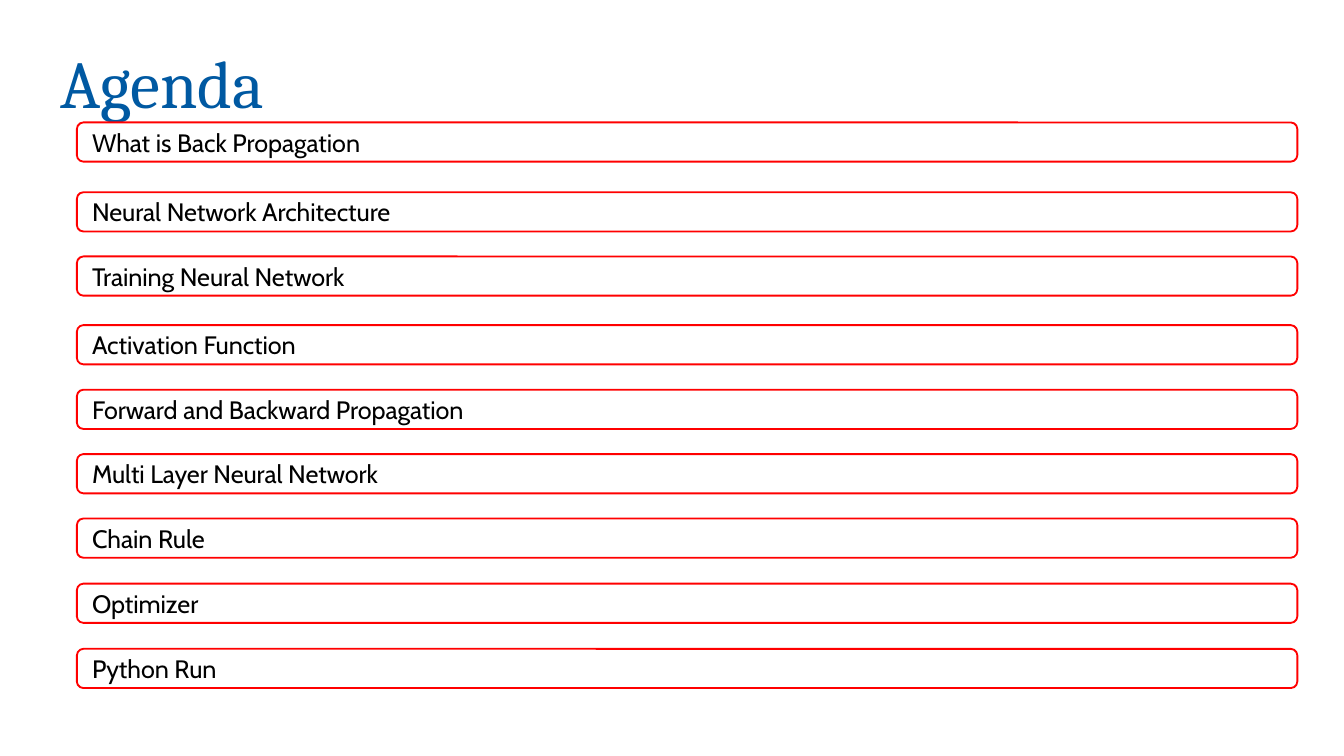
from pptx import Presentation
from pptx.dml.color import RGBColor
from pptx.enum.shapes import MSO_SHAPE
from pptx.enum.text import MSO_ANCHOR, PP_ALIGN
from pptx.util import Pt

# Top edge of each agenda bar, in points
AGENDA = [
    (65.6, "What is Back Propagation"),
    (103, "Neural Network Architecture"),
    (137.4, "Training Neural Network"),
    (174.2, "Activation Function"),
    (208.8, "Forward and Backward Propagation"),
    (243.3, "Multi Layer Neural Network"),
    (277.8, "Chain Rule"),
    (312.7, "Optimizer"),
    (347.6, "Python Run"),
]


def color(value):
    return RGBColor.from_string(value)


def set_text(sp, text, font, size, hex_color):
    tf = sp.text_frame
    tf.word_wrap = True
    tf.vertical_anchor = MSO_ANCHOR.MIDDLE
    p = tf.paragraphs[0]
    p.text = text
    p.alignment = PP_ALIGN.LEFT
    p.font.name = font
    p.font.size = Pt(size)
    p.font.color.rgb = color(hex_color)
    return p


def add_title(s, text):
    sp = s.shapes.add_textbox(Pt(25.2), Pt(0), Pt(694.8), Pt(92.9))
    p = set_text(sp, text, "Cambria", 36, "0059A2")
    p.line_spacing = 0.9


def add_bar(s, top, text):
    sp = s.shapes.add_shape(
        MSO_SHAPE.ROUNDED_RECTANGLE, Pt(41.2), Pt(top), Pt(653.8), Pt(21)
    )
    sp.shadow.inherit = False
    sp.fill.background()
    sp.line.color.rgb = color("FF0000")
    sp.line.width = Pt(1)
    set_text(sp, text, "Cabin", 13.5, "000000")


def main():
    prs = Presentation()
    prs.slide_width, prs.slide_height = Pt(720), Pt(405)
    s = prs.slides.add_slide(prs.slide_layouts[6])

    # Heading
    add_title(s, "Agenda")

    # Agenda bars
    for top, text in AGENDA:
        add_bar(s, top, text)

    prs.save("out.pptx")


if __name__ == "__main__":
    main()
